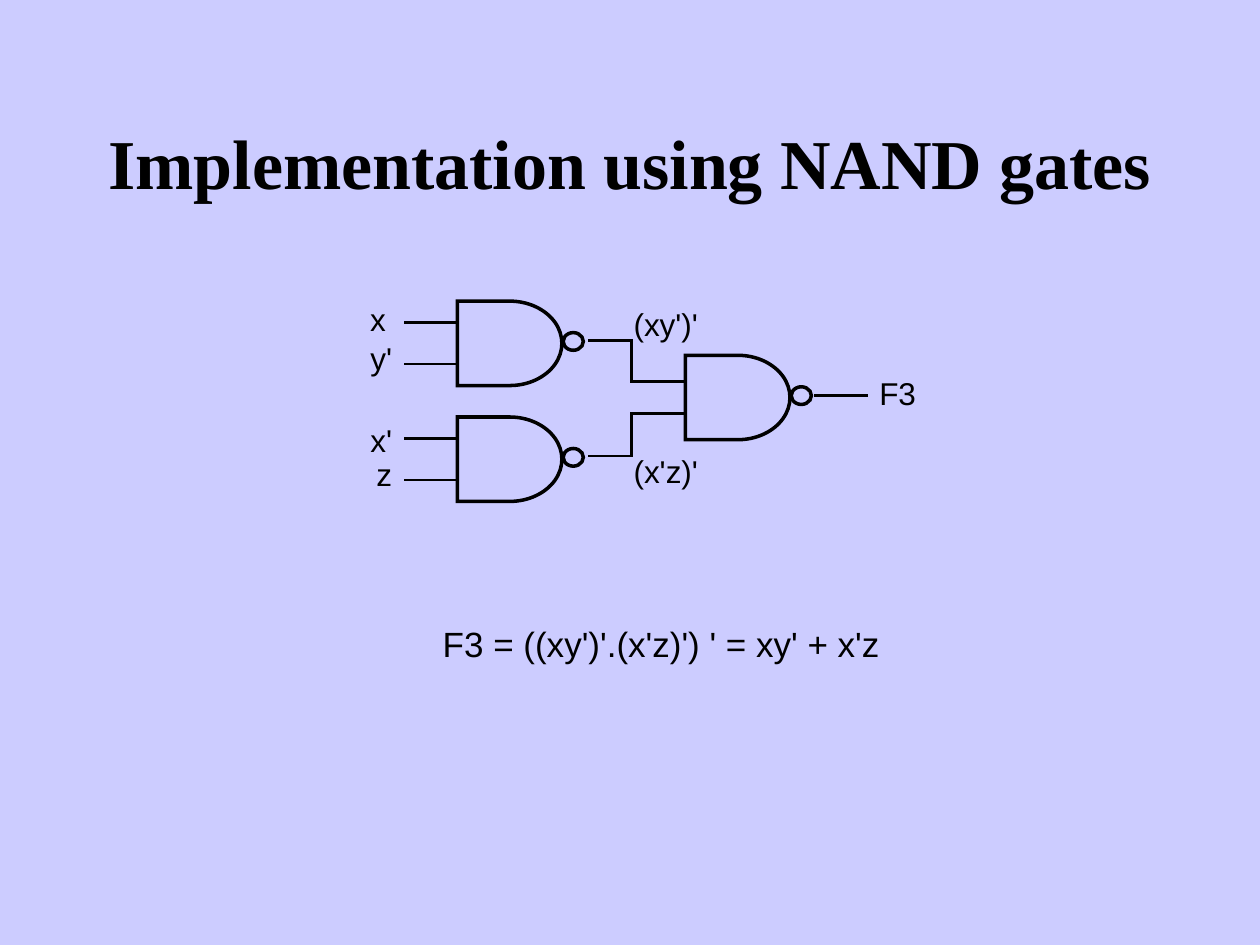
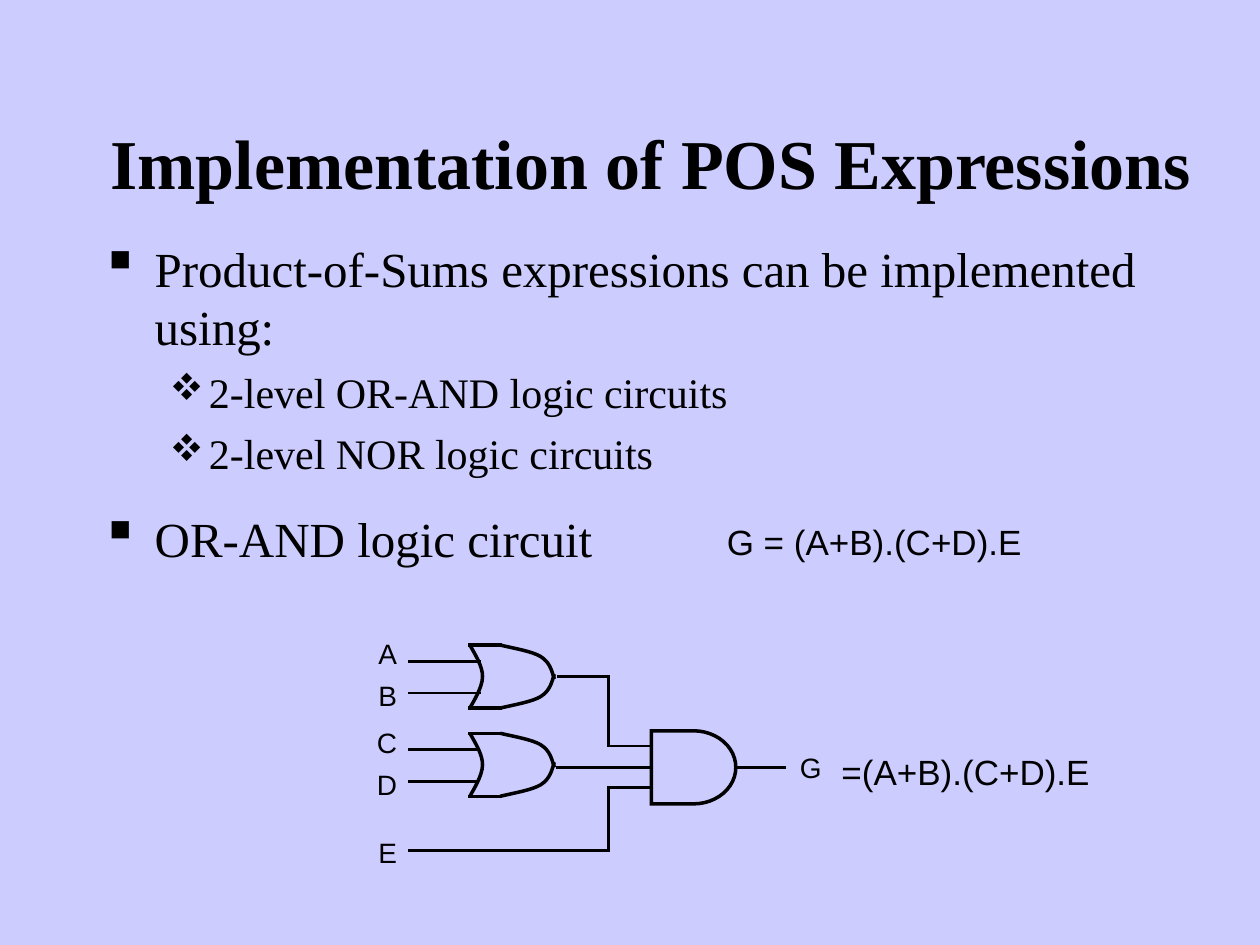
"""Build two slides on two-level logic circuits: NAND gates and OR-AND gates."""
from lxml import etree
from pptx import Presentation
from pptx import util as u
from pptx.dml.color import RGBColor
from pptx.enum import shapes, text
from pptx.oxml.ns import qn

PX = 9144
BLACK = RGBColor(0x00, 0x00, 0x00)
LAVENDER = RGBColor(0xCC, 0xCC, 0xFF)
SERIF, SANS = "Times New Roman", "Arial"
LEFT, CENTER, RIGHT = text.PP_ALIGN.LEFT, text.PP_ALIGN.CENTER, text.PP_ALIGN.RIGHT
DELAY, OVAL = shapes.MSO_SHAPE.FLOWCHART_DELAY, shapes.MSO_SHAPE.OVAL


def add_text(s, box, paragraphs, font, align=LEFT):
    """Add a wrapped text box of (words, size) pairs and return its paragraphs."""
    tf = s.shapes.add_textbox(*(v * PX for v in box)).text_frame
    tf.word_wrap = True
    for i, (words, size) in enumerate(paragraphs):
        p = tf.add_paragraph() if i else tf.paragraphs[0]
        p.alignment = align
        r = p.add_run()
        r.text = words
        for name, value in {"name": font, "size": u.Pt(size)}.items():
            setattr(r.font, name, value)
        r.font.color.rgb = BLACK
    return tf.paragraphs


def add_wire(s, *points, width=1.5):
    """Join the points with straight connectors and return the last one."""
    for start, end in zip(points, points[1:]):
        c = s.shapes.add_connector(
            shapes.MSO_CONNECTOR.STRAIGHT, *(v * PX for v in start + end))
        c.line.color.rgb = BLACK
        c.line.width = u.Pt(width)
        c._element.spPr.find(qn("a:ln")).set("cap", "sq")
        etree.SubElement(c._element.spPr, qn("a:effectLst"))
    return c


prs = Presentation()
prs.slide_width, prs.slide_height = 1000 * PX, 750 * PX
fill = prs.slide_master.background.fill
fill.solid()
fill.fore_color.rgb = LAVENDER

slides = []
for words, width in (("Implementation using NAND gates", 850),
                     ("Implementation of POS Expressions", 883)):
    s = prs.slides.add_slide(prs.slide_layouts[5])
    title = s.shapes.title
    box = {"left": 75, "top": 66, "width": width, "height": 125}
    for name, value in box.items():
        setattr(title, name, value * PX)
    tf = title.text_frame
    tf.text = words
    tf.auto_size = text.MSO_AUTO_SIZE.NONE
    tf.vertical_anchor = text.MSO_ANCHOR.MIDDLE
    p = tf.paragraphs[0]
    p.alignment = CENTER
    font = p.runs[0].font
    for name, value in {"name": SERIF, "size": u.Pt(40), "bold": True}.items():
        setattr(font, name, value)
    font.color.rgb = BLACK
    slides.append(s)
nand_slide, pos_slide = slides

outlines = []
s = nand_slide
add_text(s, (100, 489, 850, 44), [("F3 = ((xy')'.(x'z)') ' = xy' + x'z", 20)], SANS, CENTER)
for y in (256, 289, 348, 381):
    add_wire(s, (322, y), (363, y))
for y_out, y_in in ((270, 303), (362, 328)):
    add_wire(s, (468, y_out), (501, y_out), (501, y_in), (543, y_in))
add_wire(s, (647, 314), (688, 314))
for x, y in ((363, 239), (363, 331), (544, 282)):
    for kind, box in ((DELAY, (x, y, 83, 67)), (OVAL, (x + 84, y + 25, 16, 14))):
        outlines.append(s.shapes.add_shape(kind, *(v * PX for v in box)))
for words, x, y, w, align in (
        ("x", 274, 233, 42, RIGHT), ("y'", 279, 264, 42, RIGHT),
        ("x'", 279, 329, 42, RIGHT), ("z", 288, 356, 33, RIGHT),
        ("(xy')'", 493, 237, 78, LEFT), ("(x'z)'", 493, 354, 78, LEFT),
        ("F3", 688, 292, 58, LEFT)):
    add_text(s, (x, y, w, 40), [(words, 18)], SANS, align)

s = pos_slide
bullets = (
    ("Product-of-Sums expressions can be implemented using:", 0, 0),
    ("2-level OR-AND logic circuits", 1, 6),
    ("2-level NOR logic circuits", 1, 6),
    ("OR-AND logic circuit", 0, 17.5))
styles = (("§", 28, 120, 38, 38), ("v", 24, 90, 81, 31))
paragraphs = add_text(s, (75, 184, 850, 275),
                      [(words, styles[level][1]) for words, level, _ in bullets], SERIF)
for p, (_, level, before) in zip(paragraphs, bullets):
    char, _, percent, margin, hang = styles[level]
    p.level = level
    pPr = p._p.get_or_add_pPr()
    pPr.set("marL", str(margin * PX))
    pPr.set("indent", str(-hang * PX))
    color = etree.SubElement(pPr, qn("a:buClr"))
    etree.SubElement(color, qn("a:srgbClr"), val=str(BLACK))
    etree.SubElement(pPr, qn("a:buSzPct"), val=str(percent * 1000))
    etree.SubElement(pPr, qn("a:buFont"), typeface="Wingdings", charset="2")
    etree.SubElement(pPr, qn("a:buChar"), char=char)
    p.space_before = u.Pt(before)

and_gate = s.shapes.add_shape(DELAY, *(v * PX for v in (517, 580, 67, 58)))
outlines.append(and_gate)

or_curves = (
    ((0, 0), (5, 9), (10, 17), (10, 25), (10, 34), (2, 46), (0, 50)),
    ((24, 0), (37, 3), (49, 5), (56, 9), (64, 14), (65, 21), (67, 27)),
    ((24, 50), (37, 47), (49, 45), (56, 41), (64, 36), (65, 29), (67, 23)))
for top in (512, 582):
    for curve in or_curves:
        points = [((373 + x) * PX, (top + y) * PX) for x, y in curve]
        fb = s.shapes.build_freeform(*points[0])
        fb.add_line_segments(points[1:], close=False)
        sp = fb.convert_to_shape()
        segments = list(sp._element.iter(qn("a:lnTo")))
        for first in segments[::3]:
            first.addprevious(etree.Element(qn("a:cubicBezTo")))
        for i, segment in enumerate(segments):
            bezier = list(sp._element.iter(qn("a:cubicBezTo")))[i // 3]
            bezier.append(segment[0])
            segment.getparent().remove(segment)
        outlines.append(sp)
    for y in (top, top + 50):
        add_wire(s, (373, y), (397, y), width=2)

for y, x in ((525, 381), (550, 381), (595, 379), (620, 378)):
    add_wire(s, (325, y), (x, y))
add_wire(s, (443, 537), (483, 537), (483, 592), (517, 592))
add_wire(s, (325, 675), (483, 675), (483, 625), (517, 625))
add_wire(s, (442, 609), (517, 609)).end_connect(and_gate, 1)
add_wire(s, (584, 609), (623, 609)).begin_connect(and_gate, 3)
for words, y in (("A", 500), ("B", 534), ("C", 571), ("D", 604), ("E", 658)):
    add_text(s, (283, y, 42, 37), [(words, 16)], SANS, RIGHT)
add_text(s, (625, 591, 39, 37), [("G", 16)], SANS)
add_text(s, (567, 408, 267, 44), [("G = (A+B).(C+D).E", 20)], SANS)
add_text(s, (658, 591, 250, 44), [("=(A+B).(C+D).E", 20)], SANS)

for sp in outlines:
    sp.shadow.inherit = False
    sp.fill.background()
    sp.line.color.rgb = BLACK
    sp.line.width = u.Pt(2)
    etree.SubElement(sp._element.spPr.find(qn("a:ln")), qn("a:miter"), lim="800000")

prs.save("out.pptx")
